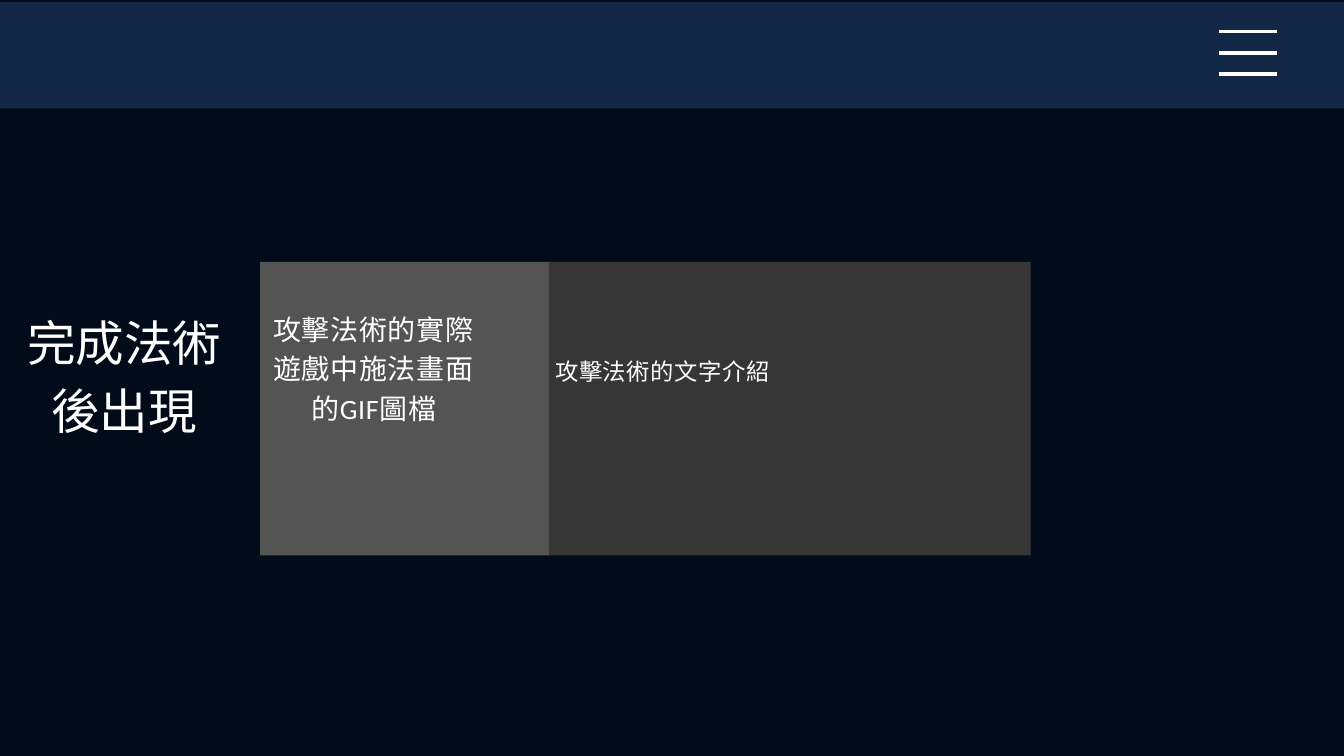
from pptx import Presentation
from pptx.util import Cm, Pt
from pptx.dml.color import RGBColor
from pptx.enum.shapes import MSO_SHAPE as SHAPE, MSO_CONNECTOR as CONN
from pptx.enum.text import MSO_ANCHOR as ANCHOR, MSO_AUTO_SIZE as AUTO, PP_ALIGN as ALIGN
from pptx.oxml.ns import qn
from lxml import etree

WHITE = "FFFFFF"


def rgb(value):
    return RGBColor.from_string(value)


def add_panel(s, x, y, w, h, color):
    sp = s.shapes.add_shape(SHAPE.RECTANGLE, Cm(x), Cm(y), Cm(w), Cm(h))
    sp.shadow.inherit = False
    sp.fill.solid()
    sp.fill.fore_color.rgb = rgb(color)
    sp.line.fill.background()


def add_rule(s, x1, x2, y):
    line = s.shapes.add_connector(CONN.STRAIGHT, Cm(x1), Cm(y), Cm(x2), Cm(y))
    line.line.color.rgb = rgb(WHITE)
    line.line.width = Pt(3.75)
    etree.SubElement(line._element.spPr, qn("a:effectLst"))


def set_text(sp, text, size, leading, anchor, margin=0, spacing=0):
    tf = sp.text_frame
    tf.text = text
    tf.word_wrap = True
    tf.vertical_anchor = anchor
    tf.margin_left = tf.margin_right = Cm(margin)
    tf.margin_top = tf.margin_bottom = Cm(margin)
    p = tf.paragraphs[0]
    p.alignment = ALIGN.CENTER
    p.line_spacing = Pt(leading)
    r = p.runs[0]
    r.font.name = "Calibri"
    r.font.size = Pt(size)
    r.font.color.rgb = rgb(WHITE)
    if spacing:
        r._r.get_or_add_rPr().set("spc", str(round(spacing * 100)))


def add_label(s, x, y, w, h, text, size, leading, spacing):
    sp = s.shapes.add_textbox(Cm(x), Cm(y), Cm(w), Cm(h))
    set_text(sp, text, size, leading, ANCHOR.MIDDLE, 0.15, spacing)


def place_title(s, x, y, w, h, text):
    sp = s.shapes.title
    sp.left, sp.top, sp.width, sp.height = Cm(x), Cm(y), Cm(w), Cm(h)
    set_text(sp, text, 52, 72.8, ANCHOR.TOP)
    sp.text_frame.auto_size = AUTO.SHAPE_TO_FIT_TEXT
    # Bring the title in front of the backdrop
    s.shapes._spTree.append(sp._element)


def main():
    prs = Presentation()
    prs.slide_width, prs.slide_height = Cm(50.8), Cm(28.58)
    s = prs.slides.add_slide(prs.slide_layouts[5])
    s.background.fill.solid()
    s.background.fill.fore_color.rgb = rgb("EDE7DB")

    # Backdrop and header bar
    add_panel(s, -0.79, 0, 52.07, 29.49, "010B19")
    add_panel(s, 0, 0.07, 50.8, 4.03, "132847")

    # Menu icon
    for i in range(3):
        add_rule(s, 46.08, 48.26, 1.2 + 0.8 * i)

    # Spell animation panel
    add_panel(s, 9.83, 9.9, 10.95, 11.1, "545454")
    add_label(s, 9.83, 9.2, 8.59, 9.27, "攻擊法術的實際遊戲中施法畫面的GIF圖檔", 30, 42, 0.8)

    # Spell description panel
    add_panel(s, 20.75, 9.9, 18.21, 11.1, "373636")
    add_label(s, 20.75, 9.4, 8.59, 9.07, "攻擊法術的文字介紹", 25, 35, 0.7)

    place_title(s, 1, 11.48, 7.39, 5.03, "完成法術後出現")
    prs.save("out.pptx")


if __name__ == "__main__":
    main()
